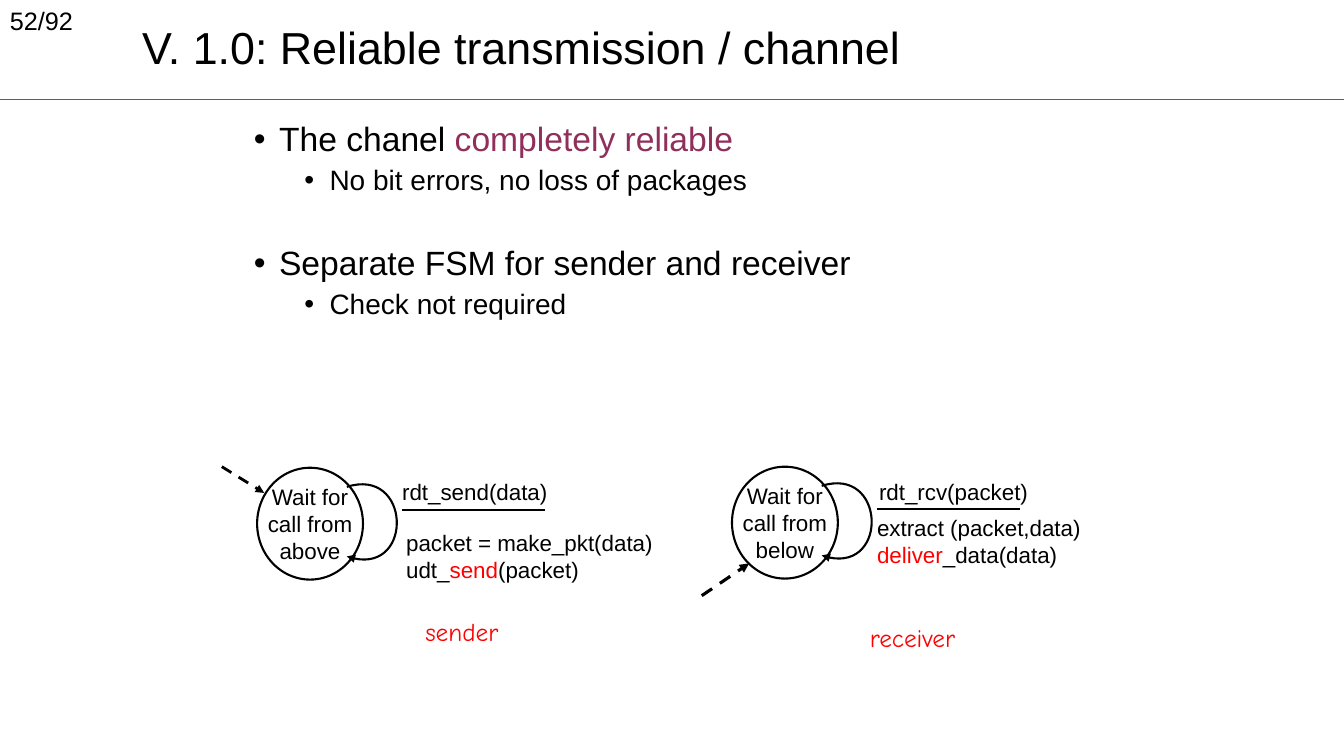
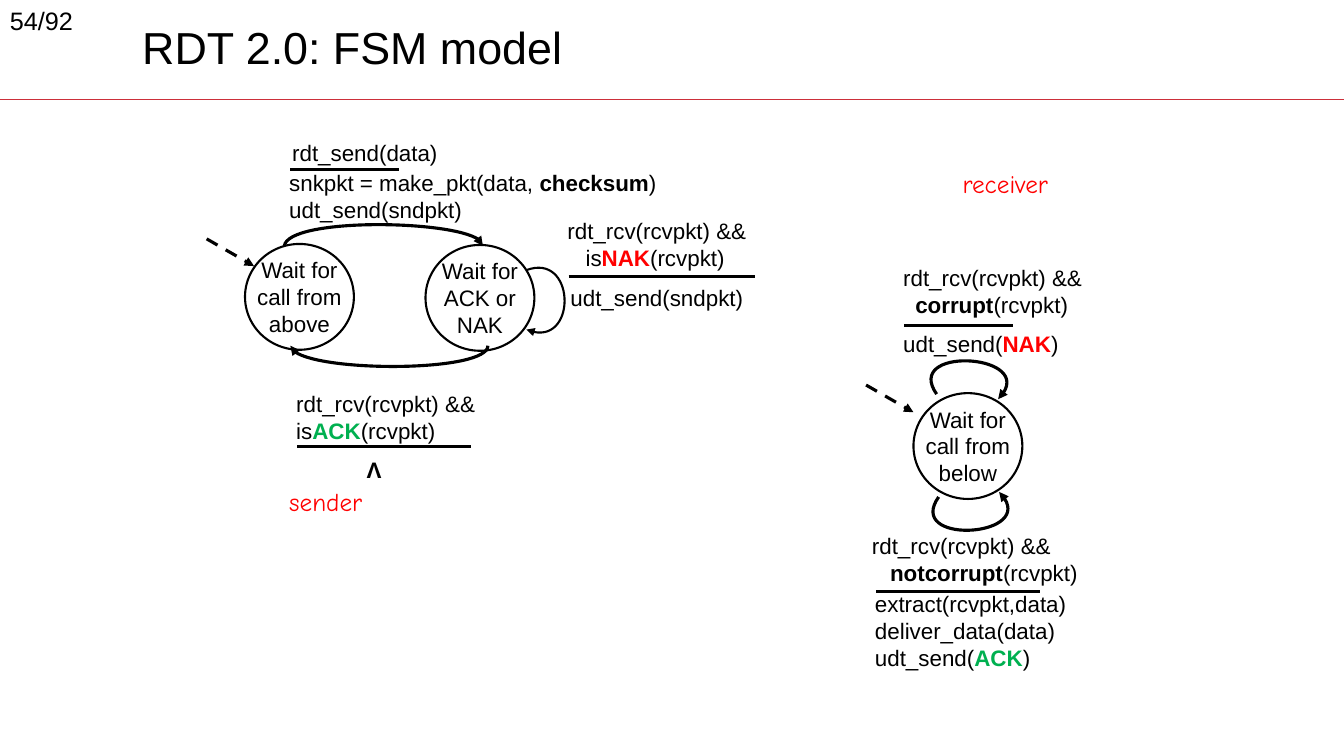
"""Build two slides on state machines for reliable data transfer."""
import pptx
import pptx.dml.color
import pptx.enum.dml
import pptx.enum.shapes
import pptx.enum.text
import pptx.oxml.ns
import pptx.oxml.xmlchemy
import pptx.util

Inches = pptx.util.Inches
Pt = pptx.util.Pt
qn = pptx.oxml.ns.qn
ALIGN = pptx.enum.text.PP_ALIGN
ANCHOR = pptx.enum.text.MSO_ANCHOR
BLACK, WHITE, RED, GREEN = "000000", "FFFFFF", "FF0000", "00B050"
PLUM, CRIMSON = "902F5B", "CC2F3A"
SANS, COMIC = "Arial", "Comic Neue"
WIDTH, HEIGHT = 13.33, 7.5


def hue(code):
    """Return the colour of a hex string."""
    return pptx.dml.color.RGBColor.from_string(code)


def child(parent, tag, **attrs):
    """Append an XML element with the given attributes."""
    item = pptx.oxml.xmlchemy.OxmlElement(tag)
    for name, value in attrs.items():
        item.set(name, str(value))
    parent.append(item)
    return item


def write(para, runs, size=16, color=BLACK, face=SANS, align=ALIGN.LEFT,
          indent=0, bullet=False, before=0, spacing=1.0):
    """Fill a paragraph with runs, each a string or (string, colour, bold)."""
    props = para._p.get_or_add_pPr()
    props.set("marL", str(Inches(indent)))
    props.set("indent", str(Inches(-0.25 if bullet else 0)))
    if bullet:
        child(props, "a:buFont", typeface=SANS)
        child(props, "a:buChar", char="•")
    para.alignment = align
    para.space_before = Pt(before)
    para.line_spacing = spacing
    for part in [runs] if isinstance(runs, str) else runs:
        words, shade, bold = (part, color, False) if isinstance(part, str) else part
        run = para.add_run()
        run.text = words
        run.font.name, run.font.size, run.font.bold = face, Pt(size), bold
        run.font.color.rgb = hue(shade)


def fill(frame, lines, hang=0, **style):
    """Write lines into a frame, indenting those after the first."""
    for place, runs in enumerate(lines):
        para = frame.add_paragraph() if place else frame.paragraphs[0]
        write(para, runs, indent=hang if place else 0, **style)


def label(slide, left, top, width, lines, **style):
    """Add a text box sized to its lines."""
    box = slide.shapes.add_textbox(Inches(left), Inches(top), Inches(width),
                                   Inches(0.1 + 0.27 * len(lines)))
    box.text_frame.word_wrap = True
    fill(box.text_frame, lines, **style)


def role(slide, left, top, name):
    """Name the side that a machine models."""
    label(slide, left, top, 1.18, [name], size=18, color=RED, face=COMIC,
          align=ALIGN.CENTER)


def stroke(shape, weight, color=BLACK, arrow=False, dash=False):
    """Style a line, and give it an arrowhead at its end."""
    shape.line.color.rgb = hue(color)
    shape.line.width = Pt(weight)
    if dash:
        shape.line.dash_style = pptx.enum.dml.MSO_LINE.DASH
    props = shape.element.find(qn("p:spPr"))
    if arrow:
        child(props.find(qn("a:ln")), "a:tailEnd", type="triangle")
    if props.find(qn("a:effectLst")) is None:
        child(props, "a:effectLst")


def line(slide, start, end, weight, **style):
    """Draw a straight line between two points."""
    ends = [Inches(value) for value in (*start, *end)]
    item = slide.shapes.add_connector(
        pptx.enum.shapes.MSO_CONNECTOR.STRAIGHT, *ends)
    stroke(item, weight, **style)
    return item


def bar(slide, left, top, length, weight=2.25):
    """Draw the bar between an event and its actions."""
    line(slide, (left, top), (left + length, top), weight)


def curve(slide, points, weight):
    """Draw a cubic arrow through a start, two controls and an end."""
    spots = [(Inches(x), Inches(y)) for x, y in points]
    maker = slide.shapes.build_freeform(*spots[0])
    maker.add_line_segments(spots[1:], close=False)
    shape = maker.convert_to_shape()
    route = shape.element.find(".//" + qn("a:path"))
    steps = route.findall(qn("a:lnTo"))
    bend = child(route, "a:cubicBezTo")
    for step in steps:
        bend.append(step[0])
        route.remove(step)
    shape.fill.background()
    stroke(shape, weight, arrow=True)


def state(slide, left, top, width, height, lines):
    """Add a round state with its centred name."""
    shape = slide.shapes.add_shape(pptx.enum.shapes.MSO_SHAPE.OVAL, Inches(left),
                                   Inches(top), Inches(width), Inches(height))
    shape.fill.solid()
    shape.fill.fore_color.rgb = hue(WHITE)
    stroke(shape, 1.5)
    frame = shape.text_frame
    frame.word_wrap = False
    frame.vertical_anchor = ANCHOR.MIDDLE
    frame.margin_left = frame.margin_right = 0
    frame.margin_top = frame.margin_bottom = 0
    fill(frame, lines, align=ALIGN.CENTER)


def start(deck, title, page):
    """Add a slide with its title and page count."""
    slide = deck.slides.add_slide(deck.slide_layouts[5])
    head = slide.shapes.title
    head.left, head.top = Inches(1.31), Inches(0.21)
    head.width, head.height = Inches(11.76), Inches(0.69)
    head.text_frame.vertical_anchor = ANCHOR.TOP
    head.text_frame.auto_size = pptx.enum.text.MSO_AUTO_SIZE.NONE
    write(head.text_frame.paragraphs[0], title, size=32, spacing=0.9)
    label(slide, 0, 0, 1.38, [page], size=18)
    return slide


def points(slide):
    """Add the bullet list on the channel."""
    box = slide.shapes.add_textbox(Inches(2.42), Inches(1.17),
                                   Inches(8.66), Inches(3.14))
    frame = box.text_frame
    frame.word_wrap = True
    rows = [(["The chanel ", ("completely reliable", PLUM, False)], 24, 0.25, 0),
            ("No bit errors, no loss of packages", 20, 0.75, 5),
            ("Separate FSM for sender and receiver", 24, 0.25, 36),
            ("Check not required", 20, 0.75, 5)]
    for place, (runs, size, indent, before) in enumerate(rows):
        para = frame.add_paragraph() if place else frame.paragraphs[0]
        write(para, runs, size=size, indent=indent, before=before,
              bullet=True, spacing=0.9)


def first(deck):
    """Build the slide on the reliable channel."""
    slide = start(deck, "V. 1.0: Reliable transmission / channel", "52/92")
    points(slide)
    for left, top, where in [(2.55, 4.64, "above"), (7.26, 4.63, "below")]:
        state(slide, left, top, 1.05, 1.11, ["Wait for", "call from", where])
        loop = [(0.89, 0.19), (1.52, -0.01), (1.56, 1.11), (0.89, 0.88)]
        curve(slide, [(left + x, top + y) for x, y in loop], 1.5)
        bar(slide, left + 1.44, top + 0.42, 1.42, 1.5)
    line(slide, (2.2, 4.63), (2.62, 4.89), 2, arrow=True, dash=True)
    line(slide, (6.96, 5.91), (7.43, 5.59), 2.25, arrow=True, dash=True)
    label(slide, 3.89, 4.69, 2.47, ["rdt_send(data)"])
    label(slide, 3.93, 5.2, 2.93, ["packet = make_pkt(data)",
                                   ["udt_", ("send", RED, False), "(packet)"]])
    label(slide, 8.62, 4.69, 1.9, ["rdt_rcv(packet)"])
    label(slide, 8.6, 5.05, 2.72, ["extract (packet,data)",
                                   [("deliver", RED, False), "_data(data)"]])
    role(slide, 3.99, 6.07, "sender")
    role(slide, 8.46, 6.12, "receiver")
    return slide


def second(deck):
    """Build the slide on the machine with checksums."""
    slide = start(deck, "RDT 2.0: FSM model", "54/92")
    for left, top, lines in [(2.43, 2.42, ["Wait for", "call from", "above"]),
                             (4.22, 2.43, ["Wait for", "ACK or", "NAK"]),
                             (9.06, 3.9, ["Wait for", "call from", "below"])]:
        state(slide, left, top, 1.08, 1.05, lines)
    for route, weight in [
            ([(2.82, 2.44), (2.86, 2.16), (4.79, 2.18), (4.79, 2.44)], 2.25),
            ([(4.84, 3.43), (4.84, 3.69), (2.92, 3.7), (2.88, 3.43)], 2.25),
            ([(5.22, 2.68), (5.7, 2.5), (5.73, 3.48), (5.22, 3.27)], 1.5),
            ([(9.29, 3.91), (8.96, 3.44), (10.34, 3.51), (9.9, 3.96)], 2.25),
            ([(9.31, 4.93), (8.98, 5.4), (10.35, 5.33), (9.91, 4.88)], 2.25)]:
        curve(slide, route, weight)
    for left, top in [(2.05, 2.37), (8.59, 3.82)]:
        line(slide, (left, top), (left + 0.47, top + 0.27), 2.25,
             arrow=True, dash=True)
    for left, top, length in [(2.88, 1.68, 1.08), (2.95, 4.43, 1.72),
                              (5.64, 2.74, 1.85), (8.97, 3.23, 1.08),
                              (8.69, 5.87, 1.63)]:
        bar(slide, left, top, length)
    event = "rdt_rcv(rcvpkt) &&"
    for left, top, hang, runs in [
            (2.84, 3.82, 0, ["is", ("ACK", GREEN, True), "(rcvpkt)"]),
            (5.53, 2.11, 0.18, ["is", ("NAK", RED, True), "(rcvpkt)"]),
            (8.86, 2.57, 0.12, [("corrupt", BLACK, True), "(rcvpkt)"]),
            (8.55, 5.23, 0.18, [("notcorrupt", BLACK, True), "(rcvpkt)"])]:
        label(slide, left, top, 2.4, [event, runs], hang=hang)
    label(slide, 2.8, 1.33, 2.47, ["rdt_send(data)"])
    label(slide, 2.77, 1.63, 3.98,
          [["snkpkt = make_pkt(data, ", ("checksum", BLACK, True), ")"],
           "udt_send(sndpkt)"])
    label(slide, 5.56, 2.77, 1.93, ["udt_send(sndpkt)"])
    label(slide, 8.86, 3.23, 2, [["udt_send(", ("NAK", RED, True), ")"]])
    label(slide, 8.58, 5.81, 2.34,
          ["extract(rcvpkt,data)", "deliver_data(data)",
           ["udt_send(", ("ACK", GREEN, True), ")"]])
    label(slide, 3.53, 4.48, 0.36, [[("Λ", BLACK, True)]], align=ALIGN.CENTER)
    role(slide, 2.64, 4.78, "sender")
    role(slide, 9.38, 1.62, "receiver")


def main():
    """Build the deck and save it."""
    deck = pptx.Presentation()
    deck.slide_width, deck.slide_height = Inches(WIDTH), Inches(HEIGHT)
    slide = first(deck)
    rule = line(slide, (0, 0.99), (WIDTH, 0.99), 1, color=CRIMSON)
    slide.slide_layout.shapes.element.append(rule.element)
    second(deck)
    deck.save("out.pptx")


if __name__ == "__main__":
    main()
